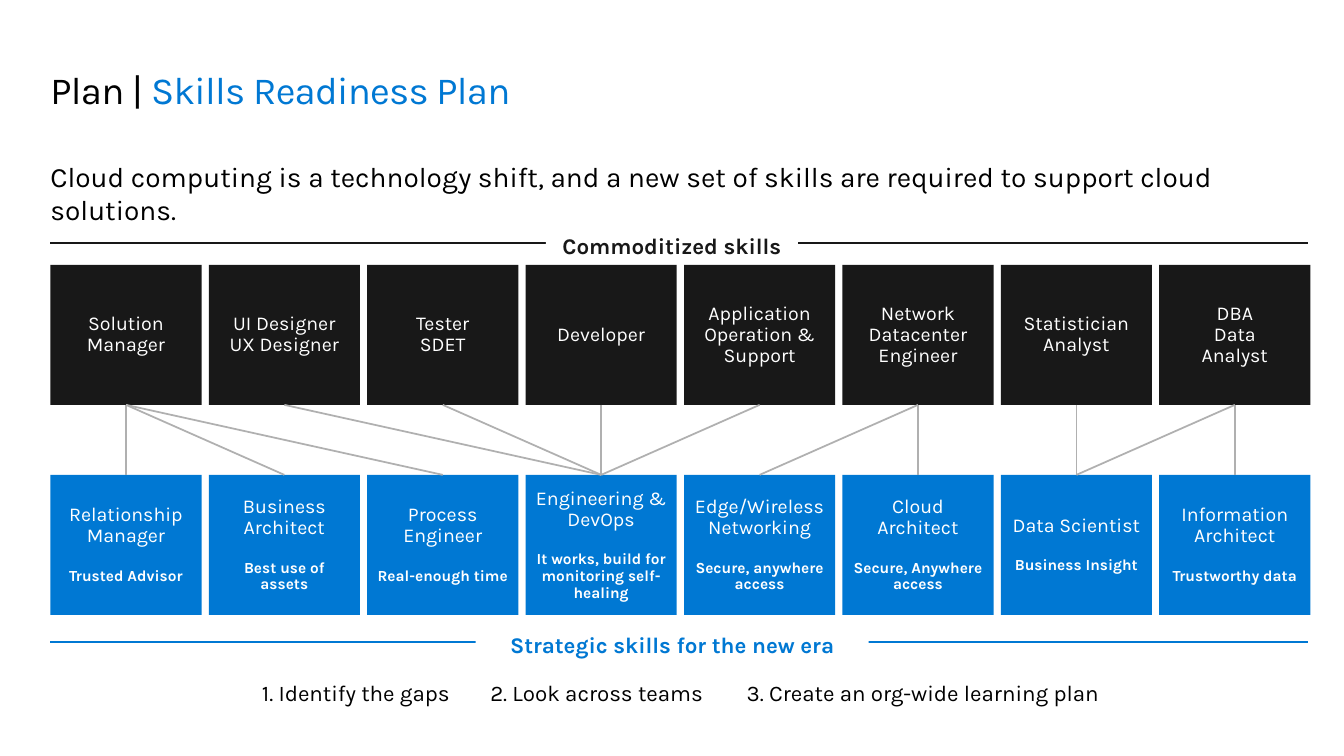
from lxml import etree
from pptx import Presentation
from pptx.dml.color import RGBColor
from pptx.enum.shapes import MSO_CONNECTOR, MSO_SHAPE
from pptx.enum.text import MSO_ANCHOR, PP_ALIGN
from pptx.oxml.ns import qn
from pptx.util import Pt

RECTANGLE = MSO_SHAPE.RECTANGLE
STRAIGHT = MSO_CONNECTOR.STRAIGHT
TOP, MIDDLE = MSO_ANCHOR.TOP, MSO_ANCHOR.MIDDLE
LEFT, CENTER = PP_ALIGN.LEFT, PP_ALIGN.CENTER

BLACK = RGBColor(0x00, 0x00, 0x00)
WHITE = RGBColor(0xFF, 0xFF, 0xFF)
CHARCOAL = RGBColor(0x18, 0x18, 0x18)
BLUE = RGBColor(0x00, 0x78, 0xD3)
GRAY = RGBColor(0xB0, 0xB0, 0xB0)

FONT = "Karla"
SLIDE_WIDTH, SLIDE_HEIGHT = 960, 540
MARGIN = 36
RULE_END = 934
BOX_WIDTH, BOX_HEIGHT, BOX_PITCH = 108, 100, 113.15
OLD_TOP, NEW_TOP = 189.2, 339.2
BOTTOM_SIDE, TOP_SIDE = 2, 0

OLD_SKILLS = [
    "Solution Manager",
    "UI Designer\nUX Designer",
    "Tester\nSDET",
    "Developer",
    "Application Operation & Support",
    "Network Datacenter Engineer",
    "Statistician\nAnalyst",
    "DBA\nData Analyst",
]
NEW_SKILLS = [
    ("Relationship Manager", "Trusted Advisor"),
    ("Business Architect", "Best use of assets"),
    ("Process Engineer", "Real-enough time"),
    ("Engineering & DevOps", "It works, build for monitoring self-healing"),
    ("Edge/Wireless Networking", "Secure, anywhere access"),
    ("Cloud Architect", "Secure, Anywhere access"),
    ("Data Scientist", "Business Insight"),
    ("Information Architect", "Trustworthy data"),
]
TRANSITIONS = [
    (0, 0), (0, 1), (0, 2), (1, 3), (2, 3), (3, 3),
    (4, 3), (5, 5), (5, 4), (6, 6), (7, 7), (7, 6),
]
STEPS = [
    ("1. Identify the gaps", 131.8, 244.8),
    ("2. Look across teams", 303.8, 244.8),
    ("3. Create an org-wide learning plan", 490.3, 337.7),
]


def set_frame(frame, inset_x, inset_y, anchor):
    frame.word_wrap = True
    frame.vertical_anchor = anchor
    frame.margin_left = frame.margin_right = Pt(inset_x)
    frame.margin_top = frame.margin_bottom = Pt(inset_y)


def format_paragraph(paragraph, size, color, spacing, align=CENTER, bold=False):
    paragraph.alignment = align
    paragraph.line_spacing = spacing
    for run in paragraph.runs:
        run.font.name = FONT
        run.font.size = Pt(size)
        run.font.bold = bold
        run.font.color.rgb = color


def add_text(slide, text, left, top, width, height, size, align):
    frame = slide.shapes.add_textbox(Pt(left), Pt(top), Pt(width), Pt(height)).text_frame
    set_frame(frame, 0, 0, TOP)
    frame.text = text
    format_paragraph(frame.paragraphs[0], size, BLACK, Pt(23.5), align)


def add_title(slide, section, topic):
    frame = slide.shapes.add_textbox(Pt(MARGIN), Pt(49), Pt(890), Pt(31.5)).text_frame
    set_frame(frame, 0, 0, TOP)
    heading = frame.paragraphs[0]
    heading.text = section
    heading.add_run().text = topic
    format_paragraph(heading, 27.4, BLACK, Pt(31.4), LEFT)
    heading.runs[1].font.color.rgb = BLUE
    for run in heading.runs:
        run.font._element.set("spc", "-50")


def add_rectangle(slide, left, top, width, height, fill):
    rectangle = slide.shapes.add_shape(RECTANGLE, Pt(left), Pt(top), Pt(width), Pt(height))
    rectangle.shadow.inherit = False
    rectangle.fill.solid()
    rectangle.fill.fore_color.rgb = fill
    rectangle.line.fill.background()
    return rectangle


def add_old_skill(slide, column, role):
    box = add_rectangle(slide, MARGIN + column * BOX_PITCH, OLD_TOP, BOX_WIDTH, BOX_HEIGHT, CHARCOAL)
    set_frame(box.text_frame, 14.4, 11.5, MIDDLE)
    box.text_frame.text = role
    for paragraph in box.text_frame.paragraphs:
        format_paragraph(paragraph, 14, WHITE, 0.9)
    return box


def add_new_skill(slide, column, role, benefit):
    box = add_rectangle(slide, MARGIN + column * BOX_PITCH, NEW_TOP, BOX_WIDTH, BOX_HEIGHT, BLUE)
    set_frame(box.text_frame, 7.2, 7.2, MIDDLE)
    box.text_frame.text = role
    format_paragraph(box.text_frame.paragraphs[0], 14, WHITE, 0.9)
    detail = box.text_frame.add_paragraph()
    detail.text = benefit
    format_paragraph(detail, 11, WHITE, 0.9, bold=True)
    detail.space_before = Pt(15)
    return box


def add_line(slide, x1, y1, x2, y2, color, width):
    line = slide.shapes.add_connector(STRAIGHT, Pt(x1), Pt(y1), Pt(x2), Pt(y2))
    line.line.color.rgb = color
    line.line.width = Pt(width)
    etree.SubElement(line._element.spPr, qn("a:effectLst"))
    return line


def add_transition(slide, old_box, new_box):
    line = add_line(slide, 0, 0, 0, 0, GRAY, 1.25)
    line.begin_connect(old_box, BOTTOM_SIDE)
    line.end_connect(new_box, TOP_SIDE)


def add_row_label(slide, text, rule_y, left, width, color):
    add_line(slide, MARGIN, rule_y, RULE_END, rule_y, color, 1)
    label = add_rectangle(slide, left, rule_y - 12.2, width, 21.6, WHITE)
    set_frame(label.text_frame, 0, 0, TOP)
    label.text_frame.text = text
    format_paragraph(label.text_frame.paragraphs[0], 16, color, Pt(23.5), bold=True)


def main():
    presentation = Presentation()
    presentation.slide_width = Pt(SLIDE_WIDTH)
    presentation.slide_height = Pt(SLIDE_HEIGHT)
    slide = presentation.slides.add_slide(presentation.slide_layouts[6])

    add_title(slide, "Plan | ", "Skills Readiness Plan")
    add_text(
        slide,
        "Cloud computing is a technology shift, and a new set of skills "
        "are required to support cloud solutions.",
        MARGIN, 114.5, 898.6, 48, 20, LEFT,
    )

    old_boxes = [add_old_skill(slide, column, role) for column, role in enumerate(OLD_SKILLS)]
    new_boxes = [
        add_new_skill(slide, column, role, benefit)
        for column, (role, benefit) in enumerate(NEW_SKILLS)
    ]
    for old, new in TRANSITIONS:
        add_transition(slide, old_boxes[old], new_boxes[new])

    add_row_label(slide, "Commoditized skills", 173.6, 390, 180, CHARCOAL)
    add_row_label(slide, "Strategic skills for the new era", 458.6, 339.8, 280.8, BLUE)

    for step, left, width in STEPS:
        add_text(slide, step, left, 481, width, 22.3, 16, CENTER)

    presentation.save("out.pptx")


if __name__ == "__main__":
    main()
